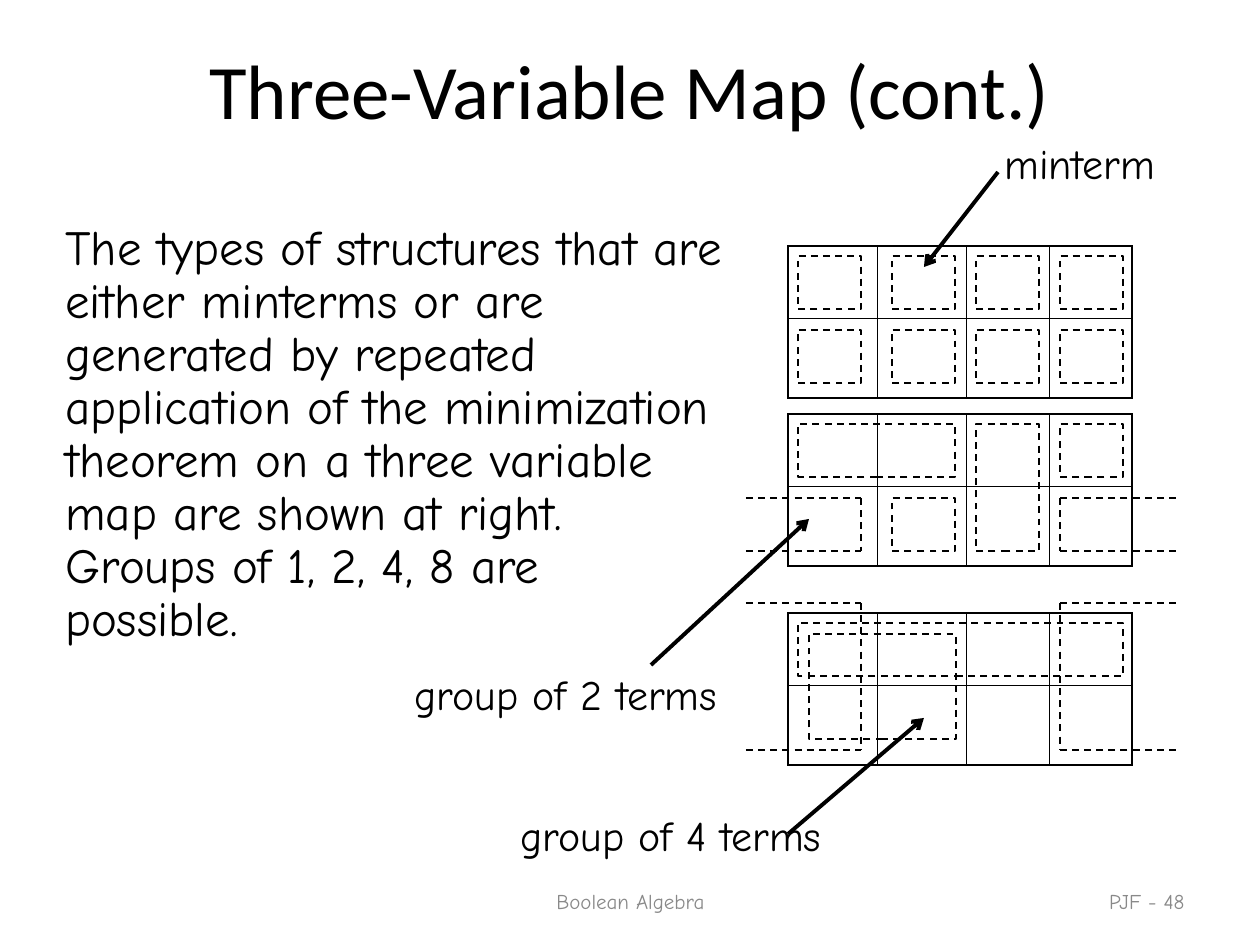
from pptx import Presentation
from pptx.dml.color import RGBColor
from pptx.enum.dml import MSO_LINE
from pptx.enum.shapes import MSO_CONNECTOR, MSO_SHAPE
from pptx.enum.text import MSO_ANCHOR, PP_ALIGN
from pptx.oxml.ns import qn
from pptx.util import Pt
from lxml.etree import SubElement

BLACK = RGBColor(0, 0, 0)
GRAY = RGBColor(0x89, 0x89, 0x89)
HAND = "Comic Neue"
LEFT, CENTER, RIGHT = PP_ALIGN.LEFT, PP_ALIGN.CENTER, PP_ALIGN.RIGHT
TOP, MIDDLE = MSO_ANCHOR.TOP, MSO_ANCHOR.MIDDLE

BODY = ("The types of structures that are either minterms or are generated by "
        "repeated application of the minimization theorem on a three variable "
        "map are shown at right.\nGroups of 1, 2, 4, 8 are possible.")
# text, box, size, font, colour, alignment, anchor, wrap, line spacing
TEXTS = [
    ("Three-Variable Map (cont.)", (0, 10, 1260, 158), 44, "Calibri", BLACK, CENTER, MIDDLE, True, 1),
    ("Boolean Algebra", (431, 876, 399, 50), 12, HAND, GRAY, CENTER, MIDDLE, True, 1),
    ("PJF - 48", (903, 876, 294, 50), 12, HAND, GRAY, RIGHT, MIDDLE, True, 1),
    (BODY, (53, 217, 683, 495), 28, HAND, BLACK, LEFT, TOP, True, 0.9),
    ("minterm", (992, 131, 176, 63), 24, HAND, BLACK, LEFT, TOP, False, 1),
    ("group of 2 terms", (402, 662, 330, 63), 24, HAND, BLACK, LEFT, TOP, False, 1),
    ("group of 4 terms", (508, 803, 328, 63), 24, HAND, BLACK, LEFT, TOP, False, 1),
]
ARROWS = [(998, 172, 924, 267), (651, 665, 809, 519), (788, 834, 924, 718)]

MAP_LEFT, MAP_COLS, MAP_ROWS = 788, (89, 89, 83, 83), (72, 80)
CELL_LEFTS, CELL_TOPS, CELL_W, CELL_H = (798, 892, 976, 1060), (10, 84), 63, 53
BRACKETS = [(746, 861), (1176, 1060)]
# groups: first column, first row, columns, rows; wraps: top and bottom of the open ends
MAPS = [
    {"top": 246, "groups": [(c, r, 1, 1) for r in range(2) for c in range(4)]},
    {"top": 414, "groups": [(0, 0, 2, 1), (2, 0, 1, 2), (3, 0, 1, 1), (1, 1, 1, 1)],
     "wrap": (84, 137)},
    {"top": 613, "groups": [(0, 0, 4, 1)], "inner": (809, 21, 147, 105),
     "wrap": (-10, 137)},
]


def px(n):
    """Turn pixels into EMU."""
    return round(n * 914400 / 126)


def add_text(text, box, size, font, color, align, anchor, wrap, spacing):
    """Add a text box with one paragraph."""
    tf = s.shapes.add_textbox(*map(px, box)).text_frame
    tf.word_wrap, tf.vertical_anchor = wrap, anchor
    p = tf.paragraphs[0]
    p.text, p.alignment, p.line_spacing = text, align, spacing
    p.font.size, p.font.name, p.font.color.rgb = Pt(size), font, color


def add_line(x1, y1, x2, y2, arrow=False):
    """Add a dashed line, or a solid arrow."""
    c = s.shapes.add_connector(MSO_CONNECTOR.STRAIGHT, *map(px, (x1, y1, x2, y2)))
    c.line.color.rgb = BLACK
    c.line.width = Pt(2.25 if arrow else 1)
    if arrow:
        SubElement(c.line._get_or_add_ln(), qn("a:tailEnd"), type="arrow")
    else:
        c.line.dash_style = MSO_LINE.DASH
    SubElement(c._element.spPr, qn("a:effectLst"))


def add_dashed_box(*box):
    """Add an unfilled dashed rectangle."""
    sp = s.shapes.add_shape(MSO_SHAPE.RECTANGLE, *map(px, box))
    sp.shadow.inherit = False
    sp.fill.background()
    sp.line.color.rgb, sp.line.width = BLACK, Pt(1)
    sp.line.dash_style = MSO_LINE.DASH


def set_borders(cell, outer):
    """Draw thick borders on outer sides and thin ones on the rest."""
    tc_pr = cell._tc.get_or_add_tcPr()
    for side, is_outer in zip("LRTB", outer):
        ln = SubElement(tc_pr, qn(f"a:ln{side}"), w=str(Pt(1.08 if is_outer else 0.45)))
        SubElement(SubElement(ln, qn("a:solidFill")), qn("a:srgbClr"), val=str(BLACK))
    cell.fill.background()


def add_map(top):
    """Add an empty map of two rows and four columns."""
    rows, cols = len(MAP_ROWS), len(MAP_COLS)
    box = (MAP_LEFT, top, sum(MAP_COLS), sum(MAP_ROWS))
    table = s.shapes.add_table(rows, cols, *map(px, box)).table
    table.first_row = table.horz_banding = False
    for col, w in zip(table.columns, MAP_COLS):
        col.width = px(w)
    for row, h in zip(table.rows, MAP_ROWS):
        row.height = px(h)
    for r in range(rows):
        for c in range(cols):
            set_borders(table.cell(r, c), (c == 0, c == cols - 1, r == 0, r == rows - 1))


prs = Presentation()
prs.slide_width, prs.slide_height = px(1260), px(945)
s = prs.slides.add_slide(prs.slide_layouts[6])

for m in MAPS:
    top = m["top"]
    add_map(top)
    for c, r, cols, rows in m["groups"]:
        x, y = CELL_LEFTS[c], CELL_TOPS[r]
        add_dashed_box(x, top + y, CELL_LEFTS[c + cols - 1] + CELL_W - x,
                       CELL_TOPS[r + rows - 1] + CELL_H - y)
    if "inner" in m:
        x, y, w, h = m["inner"]
        add_dashed_box(x, top + y, w, h)
    if "wrap" in m:
        y1, y2 = (top + y for y in m["wrap"])
        for outer, inner in BRACKETS:
            add_line(outer, y2, inner, y2)
            add_line(outer, y1, inner, y1)
            add_line(inner, y1, inner, y2)

for text in TEXTS:
    add_text(*text)
for arrow in ARROWS:
    add_line(*arrow, arrow=True)

prs.save("out.pptx")
